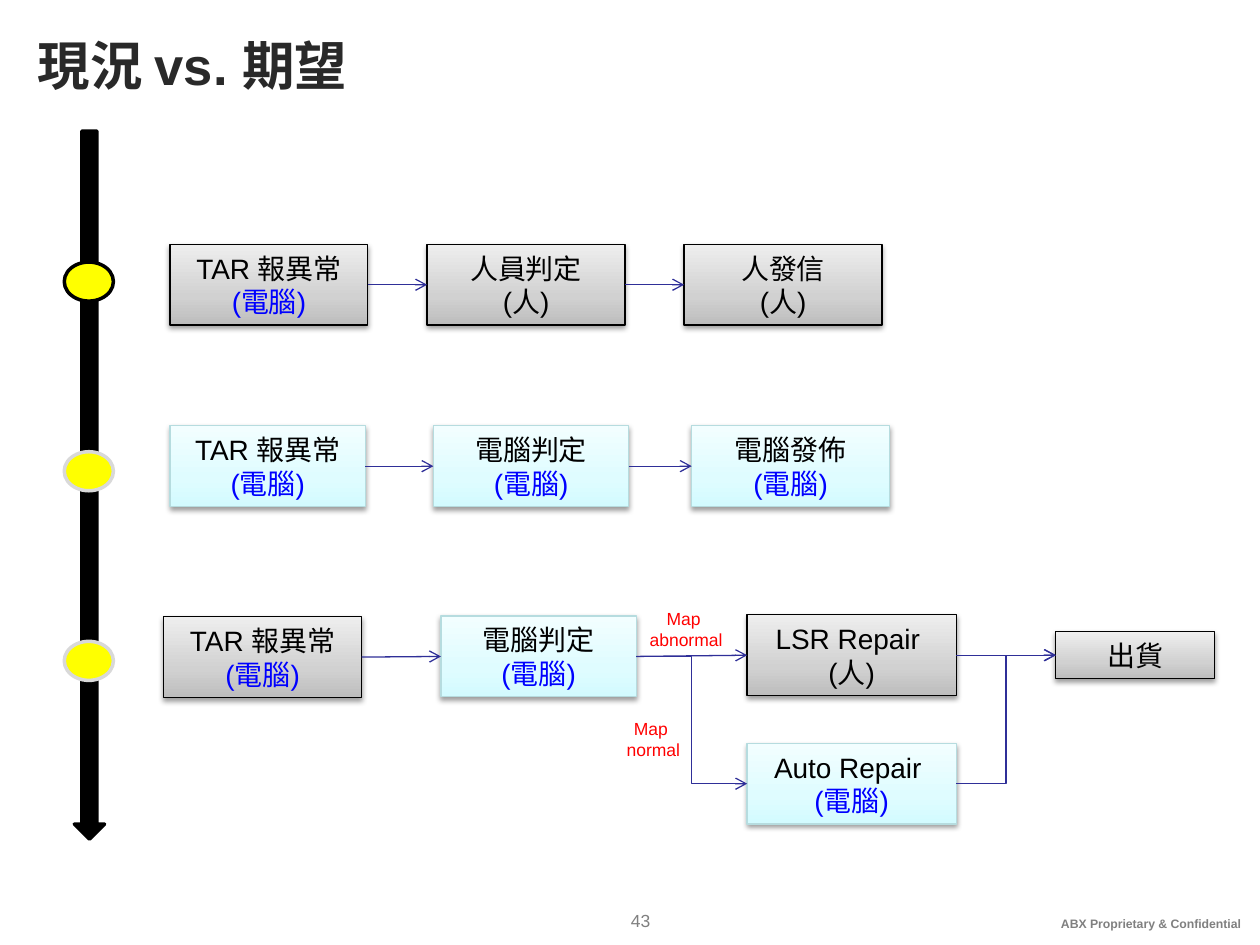
from copy import deepcopy

from lxml.etree import SubElement as Sub
from pptx import Presentation
from pptx.dml.color import RGBColor
from pptx.enum.shapes import MSO_CONNECTOR as Link, MSO_SHAPE as Shape
from pptx.enum.text import MSO_ANCHOR as Anchor, PP_ALIGN as Align
from pptx.oxml.ns import qn
from pptx.util import Inches, Pt

COLS, ROWS = 100, 75
WIDTH, HEIGHT = Inches(10), Inches(7.5)
FONT = "Arial"
BOX_H = 6.4
HUES = {
    "title": "292929", "black": "000000", "blue": "0000FF", "red": "FF0000",
    "grey": "808080", "pale": "D9D9D9", "yellow": "FFFF00", "link": "2F2F98",
}
# Gradient stops from bottom to top, then the outline
LOOKS = {
    "old": (("BDBDBD", "D1D1D1", "EEEEEE"), "000000"),
    "new": (("D3FBFF", "DFFCFF", "F2FEFF"), "B6DCDF"),
}
STOPS = (0, 0.35, 1)
TAR = "TAR 報異常"
MAN, PC = "(人)", "(電腦)"


def rgb(hue):
    return RGBColor.from_string(HUES.get(hue, hue))


def place(col, row, wide, high):
    """Turn grid columns and rows into slide lengths."""
    return (int(WIDTH * col / COLS), int(HEIGHT * row / ROWS),
            int(WIDTH * wide / COLS), int(HEIGHT * high / ROWS))


def write(frame, lines, size, hue, bold=False, align=Align.CENTER):
    frame.text = "\n".join(lines)
    for para in frame.paragraphs:
        para.alignment = align
        font = para.font
        font.name, font.size, font.bold = FONT, Pt(size), bold
        font.color.rgb = rgb("blue" if para.text == PC else hue)


def add_text(slide, spot, lines, size, hue, bold=False, wrap=True):
    frame = slide.shapes.add_textbox(*place(*spot)).text_frame
    frame.word_wrap = wrap
    write(frame, lines, size, hue, bold)


def add_form(slide, kind, spot, line, width):
    form = slide.shapes.add_shape(kind, *place(*spot))
    form.shadow.inherit = False
    form.line.color.rgb = rgb(line)
    form.line.width = Pt(width)
    return form


def add_solid(slide, kind, spot, fill, line):
    form = add_form(slide, kind, spot, line, 2)
    form.fill.solid()
    form.fill.fore_color.rgb = rgb(fill)


def shade(form, hues):
    """Fill with a three-stop gradient that rises from the bottom."""
    form.fill.gradient()
    form.fill.gradient_angle = 90
    stops = form._element.spPr.find(qn("a:gradFill")).find(qn("a:gsLst"))
    stops.insert(0, deepcopy(stops[0]))
    for stop, pos, hue in zip(form.fill.gradient_stops, STOPS, hues):
        stop.position = pos
        stop.color.rgb = rgb(hue)


def cast(form):
    """Drop a soft shadow straight down."""
    effects = form._element.spPr.find(qn("a:effectLst"))
    outer = Sub(effects, qn("a:outerShdw"), blurRad=str(Pt(3.1)),
                dist=str(Pt(1.6)), dir="5400000", rotWithShape="0")
    tint = Sub(outer, qn("a:srgbClr"), val=HUES["black"])
    Sub(tint, qn("a:alpha"), val="38000")


def add_box(slide, look, col, mid, wide, *lines, high=BOX_H):
    """Add a step box centred on the row mid."""
    hues, edge = LOOKS[look]
    box = add_form(slide, Shape.RECTANGLE,
                   (col, mid - high / 2, wide, high), edge, 0.75)
    shade(box, hues)
    cast(box)
    box.text_frame.vertical_anchor = Anchor.MIDDLE
    write(box.text_frame, lines, 16, "black")
    return box


def join(slide, start, end, kind=Link.STRAIGHT):
    """Draw an arrow from the right side of start to the left side of end."""
    link = slide.shapes.add_connector(kind, 0, 0, 0, 0)
    link.begin_connect(start, 3)
    link.end_connect(end, 1)
    link.line.color.rgb = rgb("link")
    link.line.width = Pt(0.75)
    Sub(link.line._get_or_add_ln(), qn("a:tailEnd"), type="arrow")
    Sub(link._element.spPr, qn("a:effectLst"))


def add_title(slide, text):
    title = slide.shapes.title
    title.left, title.top, title.width, title.height = place(2, 2.1, 84.3, 12.5)
    title.text_frame.vertical_anchor = Anchor.TOP
    write(title.text_frame, [text], 30, "title", True, Align.LEFT)


def add_flows(slide):
    flows = (
        (("old", 13.5, 22.6, 15.7, TAR, PC),
         ("old", 33.9, 22.6, 15.7, "人員判定", MAN),
         ("old", 54.3, 22.6, 15.7, "人發信", MAN)),
        (("new", 13.5, 37, 15.5, TAR, PC),
         ("new", 34.4, 37, 15.5, "電腦判定", PC),
         ("new", 54.9, 37, 15.7, "電腦發佈", PC)),
        (("old", 13, 52.15, 15.7, TAR, PC),
         ("new", 35, 52.1, 15.5, "電腦判定", PC),
         ("old", 59.3, 52, 16.6, "LSR Repair ", MAN)),
    )
    for flow in flows:
        boxes = [add_box(slide, *step) for step in flow]
        for pair in zip(boxes, boxes[1:]):
            join(slide, *pair)
    _, judge, repair = boxes
    auto = add_box(slide, "new", 59.3, 62.2, 16.6, "Auto Repair ", PC)
    ship = add_box(slide, "old", 83.8, 52, 12.6, "出貨", high=3.7)
    join(slide, repair, ship)
    join(slide, judge, auto, Link.ELBOW)
    join(slide, auto, ship, Link.ELBOW)
    add_text(slide, (50.1, 47.8, 8.7, 4.4), ["Map ", "abnormal"], 10, "red")
    add_text(slide, (48.3, 56.5, 7.1, 4.4), ["Map ", "normal"], 10, "red")


def add_time(slide):
    """Add the downward time line with one dot per flow."""
    add_solid(slide, Shape.DOWN_ARROW, (5.9, 10.4, 2.4, 56.2), "black", "black")
    for step, line in enumerate(("black", "pale", "pale")):
        add_solid(slide, Shape.OVAL, (5.1, 20.8 + 15.05 * step, 3.9, 3.1),
                  "yellow", line)


def add_foot(slide):
    add_text(slide, (83.1, 72.2, 16.5, 2.2),
             ["ABX Proprietary & Confidential"], 7, "grey", True, False)
    add_text(slide, (47.5, 71.7, 6.7, 2.7), ["43"], 10, "grey")


def main():
    deck = Presentation()
    deck.slide_width, deck.slide_height = WIDTH, HEIGHT
    slide = deck.slides.add_slide(deck.slide_layouts[5])
    add_title(slide, "現況 vs. 期望")
    add_flows(slide)
    add_time(slide)
    add_foot(slide)
    deck.save("out.pptx")


if __name__ == "__main__":
    main()
